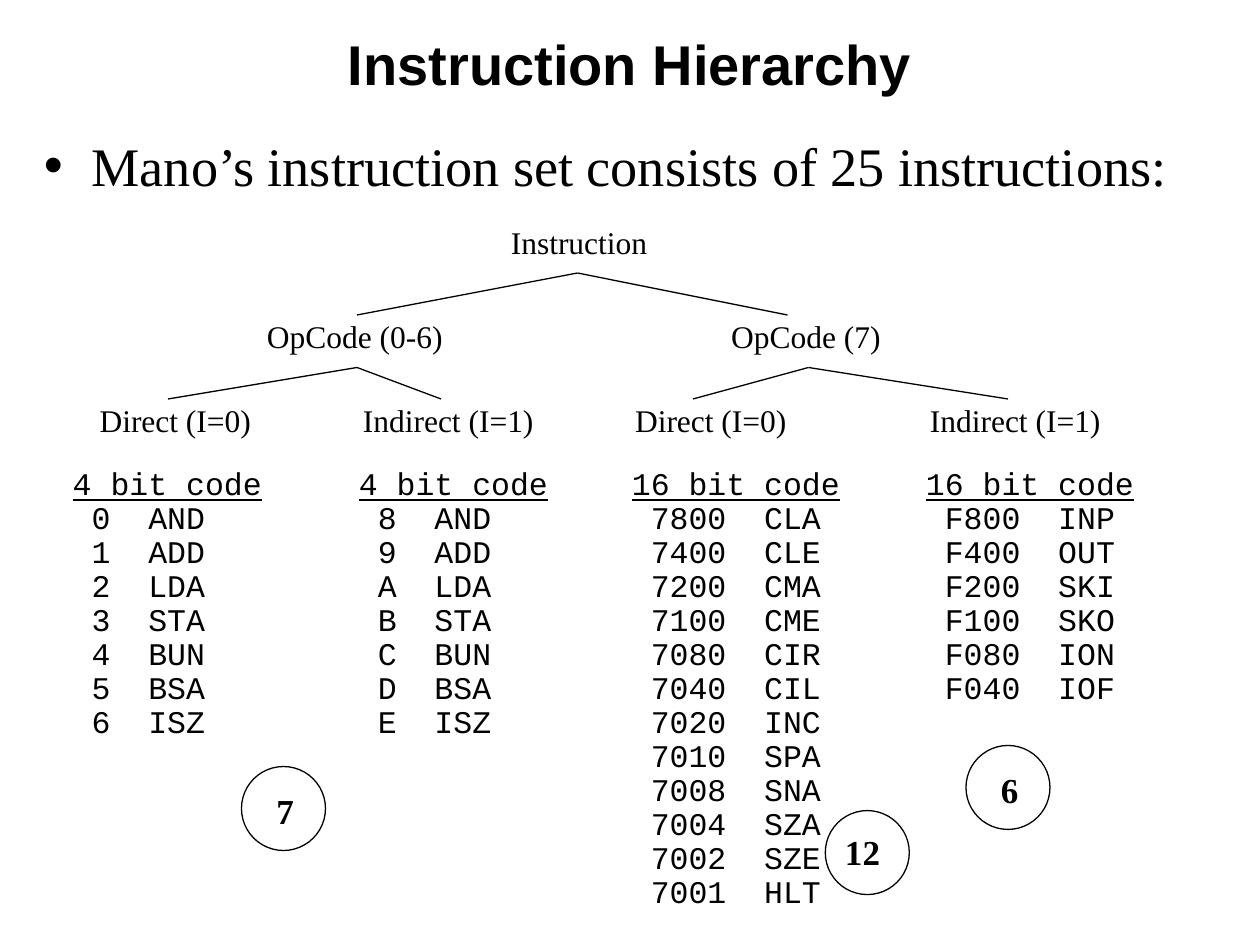
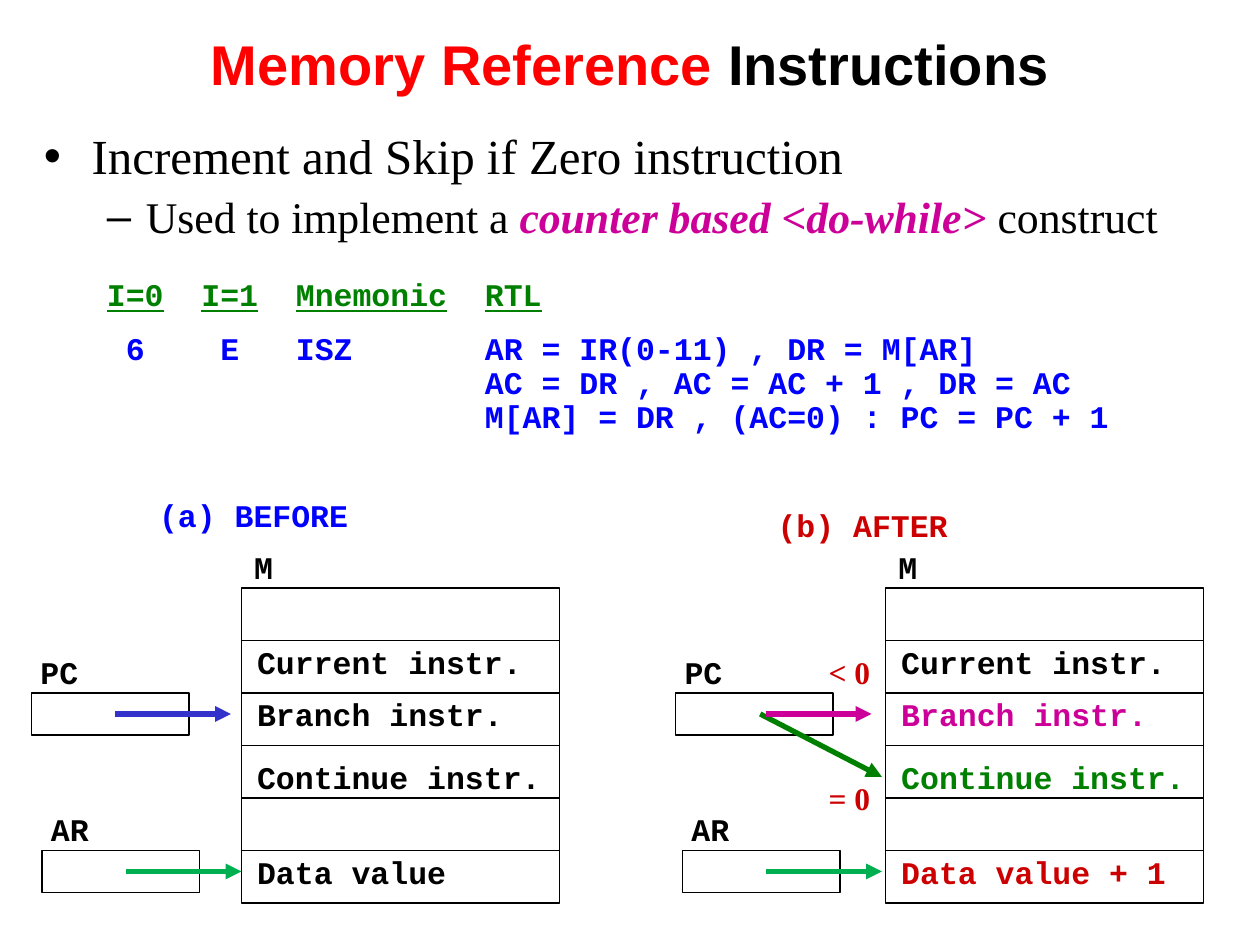
from dataclasses import dataclass
from typing import Optional, Sequence, Union

from lxml import etree
from pptx import Presentation
from pptx.dml.color import RGBColor
from pptx.enum.shapes import MSO_CONNECTOR, MSO_SHAPE
from pptx.enum.text import MSO_ANCHOR, MSO_AUTO_SIZE, PP_ALIGN
from pptx.oxml.ns import qn
from pptx.util import Emu, Inches, Pt

LEFT, CENTER = PP_ALIGN.LEFT, PP_ALIGN.CENTER
TOP, MIDDLE = MSO_ANCHOR.TOP, MSO_ANCHOR.MIDDLE
FIT, FIXED = MSO_AUTO_SIZE.SHAPE_TO_FIT_TEXT, MSO_AUTO_SIZE.NONE
RECTANGLE, OVAL = MSO_SHAPE.RECTANGLE, MSO_SHAPE.OVAL
STRAIGHT = MSO_CONNECTOR.STRAIGHT

COLUMNS, ROWS = 120, 90
SLIDE_WIDTH, SLIDE_HEIGHT = Inches(10), Inches(7.5)
CHARACTER = Inches(0.15)


@dataclass(frozen=True)
class Theme:
    black: str = "000000"
    red: str = "FF0000"
    crimson: str = "CC0000"
    magenta: str = "CC0099"
    green: str = "008000"
    emerald: str = "00B050"
    blue: str = "0000FF"
    indigo: str = "3333CC"
    heading: str = "Arial"
    serif: str = "Times New Roman"
    mono: str = "Courier New"
    title: int = 32
    lead: int = 31
    point: int = 28
    subpoint: int = 25
    count: int = 20
    label: int = 18
    thin: float = 0.75
    thick: float = 3


THEME = Theme()


@dataclass(frozen=True)
class Box:
    col: float
    row: float
    cols: float
    rows: float = 4.4


@dataclass(frozen=True)
class Run:
    text: str
    color: Optional[str] = None
    bold: Optional[bool] = None
    italic: bool = False
    underline: bool = False


@dataclass(frozen=True)
class Node:
    text: str
    box: Box


@dataclass(frozen=True)
class Line:
    start: tuple[float, float]
    end: tuple[float, float]
    color: str = THEME.black


@dataclass(frozen=True)
class CodeList:
    col: float
    cols: float
    heading: str
    mnemonic_at: int
    codes: str
    mnemonics: str


@dataclass(frozen=True)
class Count:
    col: float
    row: float
    value: str
    value_box: Box


@dataclass(frozen=True)
class MemoryState:
    shift: float
    caption: str
    caption_box: Box
    caption_color: str
    branch_color: str
    continue_color: str
    data: str
    data_color: str
    pc_arrows: tuple[Line, ...]


Text = Union[str, Sequence[Run]]
MEMORY_TOP, MEMORY_ROW, MEMORY_CELLS = 56, 5, 6
MEMORY_LEFT, MEMORY_COLS = 23, 30.3
AR_SHIFT = 61

NODES = (
    Node("Instruction", Box(46.2, 21.05, 17.9)),
    Node("OpCode (0-6)", Box(23.4, 30, 20.8)),
    Node("OpCode (7)", Box(67.7, 30, 18.1)),
    Node("Direct (I=0)", Box(7.75, 38, 17.9)),
    Node("Indirect (I=1)", Box(32.5, 38, 20.4)),
    Node("Direct (I=0)", Box(58.75, 38, 17.9)),
    Node("Indirect (I=1)", Box(86.5, 38, 20.4)),
)
BRANCHES = (
    Line((34, 30), (55, 26)),
    Line((55, 26), (75, 30)),
    Line((16, 38), (34, 35)),
    Line((34, 35), (42, 38)),
    Line((66, 38), (77, 35)),
    Line((77, 35), (96, 38)),
)
MEMORY_REFERENCE = "AND ADD LDA STA BUN BSA ISZ"
CODE_LISTS = (
    CodeList(5.75, 20.4, "4 bit code", 4, "0 1 2 3 4 5 6", MEMORY_REFERENCE),
    CodeList(33, 20.4, "4 bit code", 4, "8 9 A B C D E", MEMORY_REFERENCE),
    CodeList(59, 22.2, "16 bit code", 7,
             "7800 7400 7200 7100 7080 7040 7020 7010 7008 7004 7002 7001",
             "CLA CLE CMA CME CIR CIL INC SPA SNA SZA SZE HLT"),
    CodeList(87, 22.2, "16 bit code", 7,
             "F800 F400 F200 F100 F080 F040", "INP OUT SKI SKO ION IOF"),
)
COUNTS = (
    Count(23, 73, "7", Box(25, 75.05, 4.3, 4.8)),
    Count(92, 71, "6", Box(94, 73.05, 4.3, 4.8)),
    Count(78.6, 77.2, "12", Box(79.05, 79, 6.2, 4.8)),
)

STATES = (
    MemoryState(0, "(a) BEFORE", Box(13.95, 47.05, 20.4), THEME.blue,
                THEME.black, THEME.black, "Data value", THEME.black,
                (Line((11, 68), (22, 68), THEME.indigo),)),
    MemoryState(61.35, "(b) AFTER", Box(72.85, 48, 18.6), THEME.crimson,
                THEME.magenta, THEME.green, "Data value + 1", THEME.crimson,
                (Line((72.4, 68), (84, 74), THEME.green),
                 Line((73, 68), (83, 68), THEME.magenta))),
)


def across(cols: float) -> Emu:
    return Emu(round(SLIDE_WIDTH * cols / COLUMNS))


def down(rows: float) -> Emu:
    return Emu(round(SLIDE_HEIGHT * rows / ROWS))


def place(box: Box) -> tuple[Emu, Emu, Emu, Emu]:
    return across(box.col), down(box.row), across(box.cols), down(box.rows)


def add_frame(slide, box: Box, wrap: bool = False, fit: bool = True, anchor=TOP):
    frame = slide.shapes.add_textbox(*place(box)).text_frame
    frame.word_wrap = wrap
    frame.auto_size = FIT if fit else FIXED
    frame.vertical_anchor = anchor
    return frame


def write(frame, text: Text, *, font: str = THEME.mono, size: float = THEME.label,
          color: str = THEME.black, bold: bool = False, align=LEFT,
          spacing: float = 0.9, before: float = 11.2, bullet: str = "",
          level: int = 0, margin: int = 0, hang: int = 0,
          tabs: Sequence[int] = ()) -> None:
    first = frame.paragraphs[0]
    paragraph = frame.add_paragraph() if first.runs else first
    paragraph.alignment = align
    paragraph.level = level
    paragraph.line_spacing = spacing
    paragraph.space_before = Pt(before)
    properties = paragraph._p.get_or_add_pPr()
    if margin:
        properties.set("marL", str(margin))
    if hang:
        properties.set("indent", str(-hang))
    if bullet:
        etree.SubElement(properties, qn("a:buFont"), typeface=THEME.heading)
        etree.SubElement(properties, qn("a:buChar"), char=bullet)
    if tabs:
        stops = etree.SubElement(properties, qn("a:tabLst"))
        for characters in tabs:
            etree.SubElement(stops, qn("a:tab"), pos=str(CHARACTER * characters), algn="l")
    for part in [Run(text)] if isinstance(text, str) else text:
        run = paragraph.add_run()
        run.text = part.text
        run.font.name = font
        run.font.size = Pt(size)
        run.font.bold = bold if part.bold is None else part.bold
        run.font.italic = part.italic
        run.font.underline = part.underline
        run.font.color.rgb = RGBColor.from_string(part.color or color)


def add_outline(slide, preset, box: Box) -> None:
    outline = slide.shapes.add_shape(preset, *place(box))
    outline.shadow.inherit = False
    outline.fill.background()
    outline.line.color.rgb = RGBColor.from_string(THEME.black)
    outline.line.width = Pt(THEME.thin)


def add_line(slide, line: Line, arrow: bool = False) -> None:
    connector = slide.shapes.add_connector(
        STRAIGHT, across(line.start[0]), down(line.start[1]),
        across(line.end[0]), down(line.end[1]))
    connector.line.color.rgb = RGBColor.from_string(line.color)
    connector.line.width = Pt(THEME.thick if arrow else THEME.thin)
    if arrow:
        etree.SubElement(connector.line._get_or_add_ln(), qn("a:tailEnd"), type="triangle")
    etree.SubElement(connector._element.spPr, qn("a:effectLst"))


def start_slide(deck, title: Text):
    slide = deck.slides.add_slide(deck.slide_layouts[6])
    write(add_frame(slide, Box(0, 0, COLUMNS, 12), wrap=True, fit=False, anchor=MIDDLE),
          title, font=THEME.heading, size=THEME.title, bold=True, align=CENTER,
          spacing=1.0, before=0)
    return slide


def write_point(frame, text: Text, size: float, spacing: float, before: float) -> None:
    write(frame, text, font=THEME.serif, size=size, spacing=spacing, before=before,
          bullet="•", margin=Inches(0.38), hang=Inches(0.38))


def add_code_list(slide, codes: CodeList) -> None:
    pairs = list(zip(codes.codes.split(), codes.mnemonics.split()))
    frame = add_frame(slide, Box(codes.col, 44, codes.cols, 1.2 + 3.24 * (len(pairs) + 1)))
    write(frame, [Run(codes.heading, underline=True)])
    for code, mnemonic in pairs:
        write(frame, f"\t{code}\t{mnemonic}", before=0, tabs=(1, codes.mnemonic_at))


def add_count(slide, count: Count) -> None:
    write(add_frame(slide, count.value_box), count.value, font=THEME.serif,
          size=THEME.count, bold=True, align=CENTER, before=12.5)
    add_outline(slide, OVAL, Box(count.col, count.row, 8, 8))


def add_register(slide, name: str, col: float, row: float) -> None:
    add_outline(slide, RECTANGLE, Box(col, row, 15, 4))
    write(add_frame(slide, Box(col - 0.35, row - 4, 6)), name, bold=True, align=CENTER)


def add_memory_state(slide, state: MemoryState) -> None:
    left = MEMORY_LEFT + state.shift
    write(add_frame(slide, state.caption_box), state.caption,
          color=state.caption_color, bold=True, align=CENTER)
    write(add_frame(slide, Box(left, 52, 4.2)), "M", bold=True, align=CENTER)
    add_outline(slide, RECTANGLE,
                Box(left, MEMORY_TOP, MEMORY_COLS, MEMORY_ROW * MEMORY_CELLS))
    for cell in range(1, MEMORY_CELLS):
        row = MEMORY_TOP + cell * MEMORY_ROW
        add_line(slide, Line((left, row), (left + MEMORY_COLS, row)))
    words = (
        ("Current instr.", 61.05, THEME.black),
        ("Branch instr.", 66, state.branch_color),
        ("Continue instr.", 72, state.continue_color),
        (state.data, 81.05, state.data_color),
    )
    for word, row, color in words:
        write(add_frame(slide, Box(left + 0.3, row, 29.7)), word, color=color, bold=True)
    add_register(slide, "PC", 3 + state.shift, 66)
    for arrow in state.pc_arrows:
        add_line(slide, arrow, arrow=True)


def build_hierarchy(deck) -> None:
    slide = start_slide(deck, "Instruction Hierarchy")
    write_point(add_frame(slide, Box(3, 12, 115, 9), wrap=True, fit=False),
                "Mano’s instruction set consists of 25 instructions:", THEME.lead, 1.0, 7.7)
    for node in NODES:
        write(add_frame(slide, node.box), node.text, font=THEME.serif, align=CENTER)
    for branch in BRANCHES:
        add_line(slide, branch)
    for codes in CODE_LISTS:
        add_code_list(slide, codes)
    for count in COUNTS:
        add_count(slide, count)


def build_memory_reference(deck) -> None:
    slide = start_slide(deck, [Run("Memory Reference ", THEME.red), Run("Instructions")])
    points = add_frame(slide, Box(3, 12, 113, 12), wrap=True, fit=False)
    write_point(points, "Increment and Skip if Zero instruction", THEME.point, 0.9, 7)
    write(points, [Run("Used to implement a "),
                   Run("counter based <do-while>", THEME.magenta, True, True),
                   Run(" construct")],
          font=THEME.serif, size=THEME.subpoint, before=6.2, bullet="–", level=1,
          margin=Inches(0.81), hang=Inches(0.31))
    transfers = add_frame(slide, Box(9, 26, 103, 16), wrap=True)
    header = [Run("I=0", underline=True)]
    for heading in ("I=1", "Mnemonic", "RTL"):
        header += [Run("\t"), Run(heading, underline=True)]
    write(transfers, header, color=THEME.green, bold=True, tabs=(5, 10, 20))
    write(transfers, "\t6\tE\tISZ\tAR = IR(0-11) , DR = M[AR]",
          color=THEME.blue, bold=True, tabs=(1, 6, 10, 20))
    for step in ("AC = DR , AC = AC + 1 , DR = AC", "M[AR] = DR , (AC=0) : PC = PC + 1"):
        write(transfers, step, color=THEME.blue, bold=True, before=0, margin=CHARACTER * 20)
    for state in STATES:
        add_memory_state(slide, state)
    for condition, row in (("< 0", 62), ("= 0", 74)):
        write(add_frame(slide, Box(77.6, row, 6.6)), condition, font=THEME.serif,
              color=THEME.crimson, bold=True, align=CENTER)
    for shift in (0, AR_SHIFT):
        add_register(slide, "AR", 4 + shift, 81)
        add_line(slide, Line((12 + shift, 83), (23 + shift, 83), THEME.emerald), arrow=True)


def main() -> None:
    deck = Presentation()
    deck.slide_width, deck.slide_height = SLIDE_WIDTH, SLIDE_HEIGHT
    build_hierarchy(deck)
    build_memory_reference(deck)
    deck.save("out.pptx")


if __name__ == "__main__":
    main()
